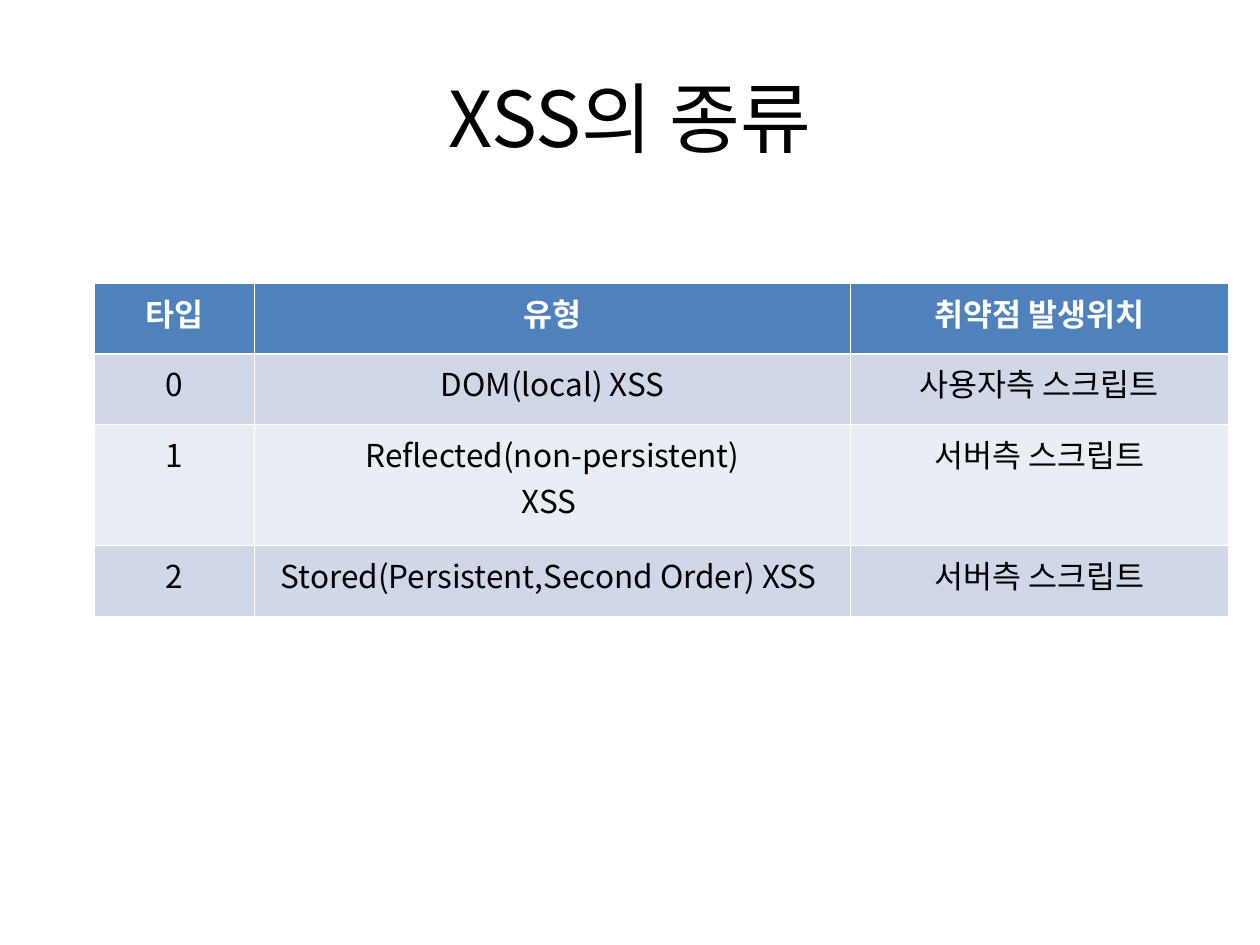
from dataclasses import dataclass

from lxml.etree import SubElement
from pptx import Presentation
from pptx.dml.color import RGBColor
from pptx.enum.text import MSO_ANCHOR as Anchor, PP_ALIGN as Align
from pptx.oxml.ns import qn
from pptx.util import Emu, Inches, Pt

FONT = "Noto Sans CJK KR"
WHITE, BLACK, BLUE = "FFFFFF", "000000", "4F81BD"
BANDS = ("D0D8E8", "E9EDF4")
THIN, THICK = 0.45, 1.47
COLUMN_WIDTHS = (1.27, 4.73, 3)
ROW_HEIGHT, TALL_ROW_HEIGHT = 0.56, 0.96


@dataclass(frozen=True)
class XssType:
    number: str
    kind: str
    location: str


HEADER = XssType("타입", "유형", "취약점 발생위치")
XSS_TYPES = (
    XssType("0", "DOM(local) XSS", "사용자측 스크립트"),
    XssType("1", "Reflected(non-persistent)\nXSS ", "서버측 스크립트"),
    XssType("2", "Stored(Persistent,Second Order) XSS ", "서버측 스크립트"),
)


def color(value: str) -> RGBColor:
    return RGBColor.from_string(value)


def write(frame, text: str, *, size: float, fill: str = BLACK, bold: bool = False) -> None:
    frame.text = text
    for para in frame.paragraphs:
        para.alignment = Align.CENTER
        for span in para.runs:
            font = span.font
            font.size, font.bold, font.name = Pt(size), bold, FONT
            font.color.rgb = color(fill)
            SubElement(span._r.get_or_add_rPr(), qn("a:ea"), typeface=FONT)


def add_borders(cell, top: float, bottom: float) -> None:
    properties = cell._tc.get_or_add_tcPr()
    widths = {"lnL": THIN, "lnR": THIN, "lnT": top, "lnB": bottom}
    for position, (side, width) in enumerate(widths.items()):
        line = properties.makeelement(qn(f"a:{side}"), {"w": str(Pt(width))})
        SubElement(SubElement(line, qn("a:solidFill")), qn("a:srgbClr"), val=WHITE)
        properties.insert(position, line)


def add_title(slide, deck, text: str) -> None:
    title = slide.shapes.title
    title.left, title.top = int(deck.slide_width * 0.05), int(deck.slide_height * 0.04)
    title.width, title.height = int(deck.slide_width * 0.9), Inches(1.25)
    title.text_frame.vertical_anchor = Anchor.MIDDLE
    write(title.text_frame, text, size=44)


def add_type_table(slide, deck, entries: tuple[XssType, ...]) -> None:
    rows = (HEADER, *entries)
    heights = [
        Inches(TALL_ROW_HEIGHT if "\n" in row.kind else ROW_HEIGHT) for row in rows
    ]
    widths = [Inches(width) for width in COLUMN_WIDTHS]
    left, top = int(deck.slide_width * 0.075), int(deck.slide_height * 0.3)
    table = slide.shapes.add_table(
        len(rows), len(widths), left, top, Emu(sum(widths)), Emu(sum(heights))
    ).table
    for column, width in zip(table.columns, widths):
        column.width = width
    for index, (row, height) in enumerate(zip(rows, heights)):
        table.rows[index].height = height
        is_header = index == 0
        for cell, text in zip(
            table.rows[index].cells, (row.number, row.kind, row.location)
        ):
            cell.fill.solid()
            cell.fill.fore_color.rgb = color(BLUE if is_header else BANDS[(index - 1) % 2])
            write(
                cell.text_frame,
                text,
                size=18,
                fill=WHITE if is_header else BLACK,
                bold=is_header,
            )
            add_borders(
                cell,
                top=THICK if index == 1 else THIN,
                bottom=THICK if is_header else THIN,
            )


def main() -> None:
    deck = Presentation()
    deck.slide_width, deck.slide_height = Inches(10), Inches(7.5)
    slide = deck.slides.add_slide(deck.slide_layouts.get_by_name("Title Only"))
    add_title(slide, deck, "XSS의 종류")
    add_type_table(slide, deck, XSS_TYPES)
    deck.save("out.pptx")


if __name__ == "__main__":
    main()
